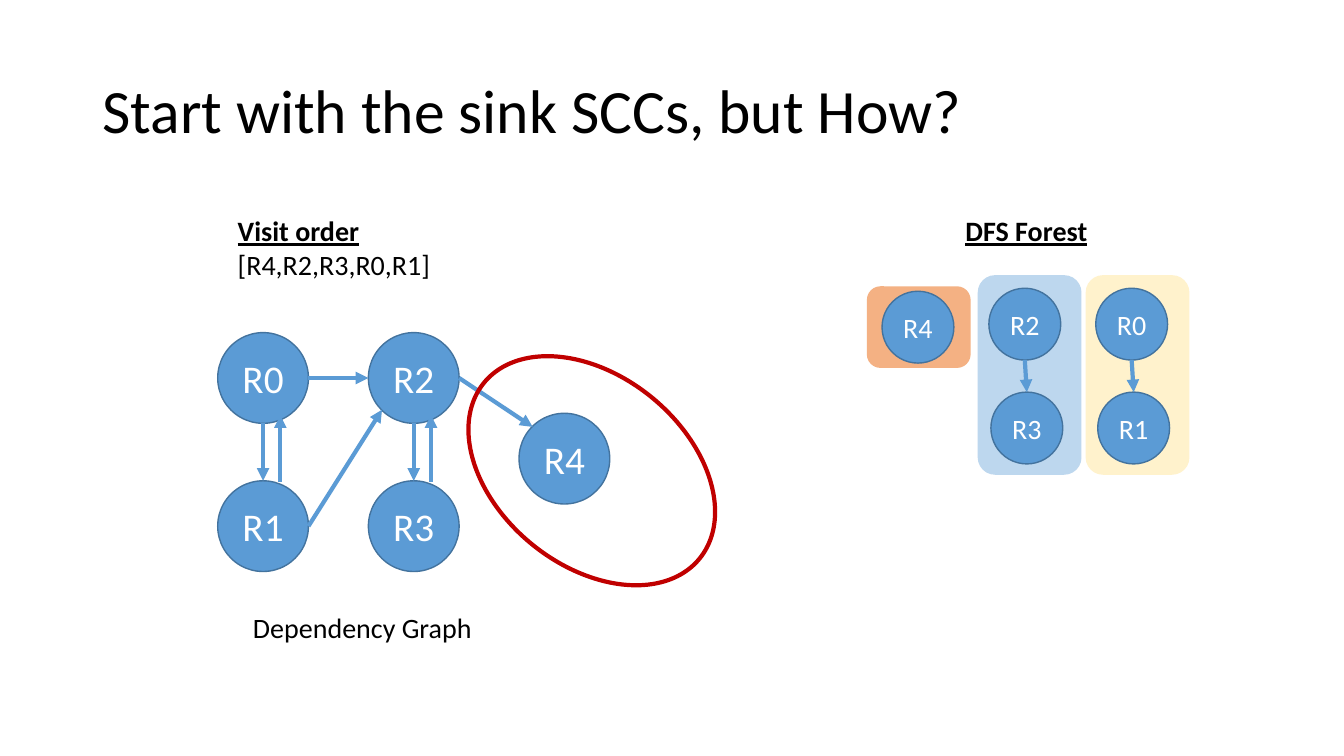
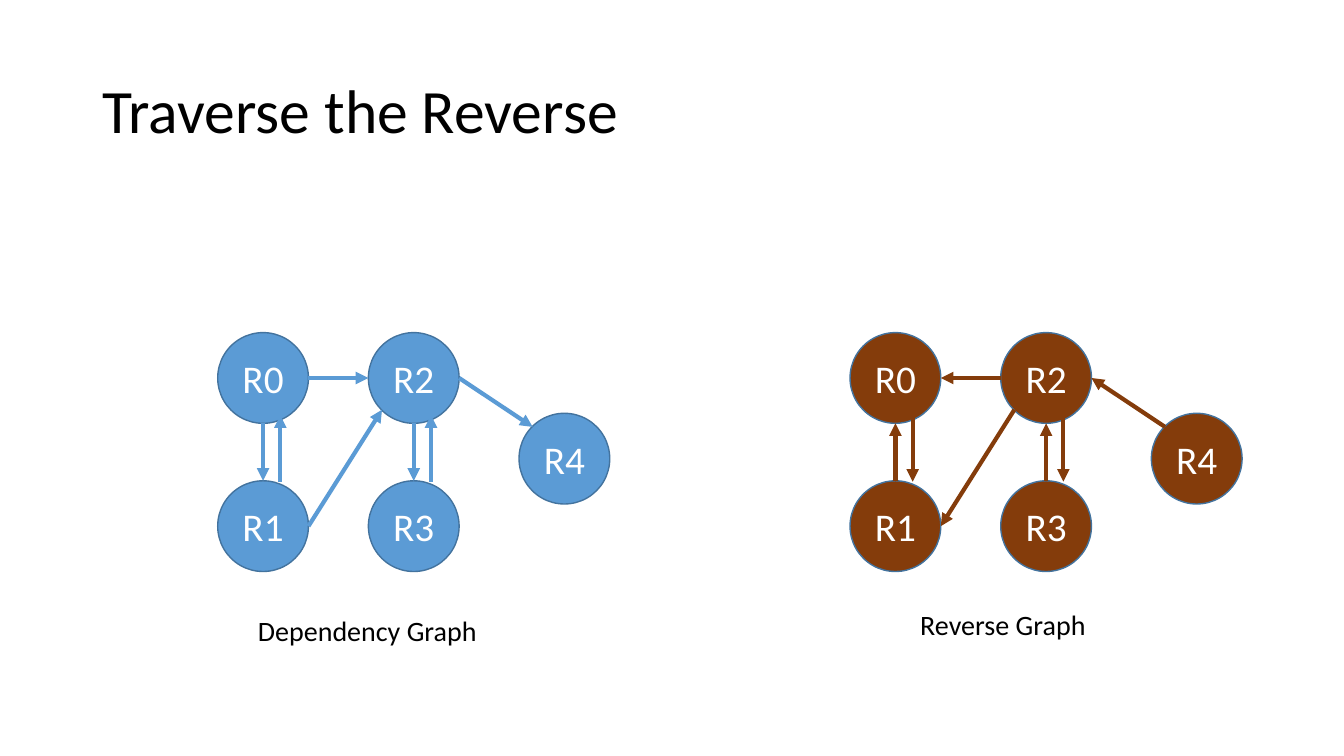
"""Build two slides on visiting dependency graphs and their reverses."""
from pptx import Presentation
from pptx import util as u
from pptx.dml.color import RGBColor
from pptx.enum import shapes, text
from pptx.oxml.ns import qn
from lxml import etree

BLACK = RGBColor(0x00, 0x00, 0x00)
WHITE = RGBColor(0xFF, 0xFF, 0xFF)
BLUE = RGBColor(0x5B, 0x9B, 0xD5)
OUTLINE = RGBColor(0x43, 0x73, 0x9E)
BROWN = RGBColor(0x84, 0x3C, 0x0B)
RED = RGBColor(0xC0, 0x00, 0x00)
ORANGE = RGBColor(0xF4, 0xB1, 0x83)
PALE_BLUE = RGBColor(0xBD, 0xD7, 0xEE)
CREAM = RGBColor(0xFF, 0xF2, 0xCC)
FONT = "Calibri"

deck = Presentation()
deck.slide_width = u.Inches(13.33)
deck.slide_height = u.Inches(7.5)
COLUMN = deck.slide_width / 100
ROW = deck.slide_height / 100

TITLE_AREA = (6.88, 5.33, 86.25, 19.33)
RING_AREA = (33.68, 49.73, 20.7, 25.07)
LABEL_HEIGHT = 5.87
PANEL_WIDTH = 7.72

PORTS = {
    "top": (0.5, 0), "bottom": (0.5, 1), "left": (0, 0.5), "right": (1, 0.5),
    "upper left": (0.15, 0.15), "lower left": (0.15, 0.85),
    "return start": (0.69, 0.01), "return end": (0.69, 0.91),
}
GRAPH_NODES = {"R0": (0, 44), "R1": (0, 63.6), "R2": (1, 44), "R3": (1, 63.6), "R4": (2, 54.67)}
GRAPH_STEP = 11.21
GRAPH_EDGES = [
    ("R0", "bottom", "R1", "top"),
    ("R0", "right", "R2", "left"),
    ("R1", "return start", "R0", "return end"),
    ("R1", "right", "R2", "lower left"),
    ("R2", "bottom", "R3", "top"),
    ("R3", "return start", "R2", "return end"),
    ("R2", "right", "R4", "upper left"),
]
REVERSE_EDGES = [(end, end_port, start, start_port) for start, start_port, end, end_port in GRAPH_EDGES]
FOREST_NODES = {
    "R4": (65.63, 38.53), "R2": (73.58, 38.13), "R3": (73.73, 51.87),
    "R0": (81.53, 38.13), "R1": (81.68, 51.87),
}
FOREST_EDGES = [("R2", "bottom", "R3", "top"), ("R0", "bottom", "R1", "top")]

graph, reverse = [
    {"nodes": {name: (left + step * GRAPH_STEP, top) for name, (step, top) in GRAPH_NODES.items()},
     "edges": edges, "color": color, "diameter": 12, "size": 28, "grouped": True}
    for left, edges, color in [(16.2, GRAPH_EDGES, BLUE), (63.25, REVERSE_EDGES, BROWN)]
]
forest = {"nodes": FOREST_NODES, "edges": FOREST_EDGES, "color": BLUE,
          "diameter": 9.5, "size": 20, "grouped": False}

SLIDES = [
    {
        "title": "Start with the sink SCCs, but How?",
        "labels": [
            (18.08, 80.13, 17.93, ["Dependency Graph"], False),
            (16.95, 27.6, 15.98, ["Visit order", "[R4,R2,R3,R0,R1]"], True),
            (71.1, 27.6, 10.65, ["DFS Forest"], True),
        ],
        "panels": [
            (64.5, 37.87, 10.8, ORANGE),
            (72.75, 36.4, 26.4, PALE_BLUE),
            (80.78, 36.4, 26.4, CREAM),
        ],
        "graphs": [graph, forest],
        "ringed": True,
    },
    {
        "title": "Traverse the Reverse",
        "labels": [
            (18.45, 80.53, 17.93, ["Dependency Graph"], False),
            (67.73, 79.73, 13.95, ["Reverse Graph"], False),
        ],
        "panels": [],
        "graphs": [graph, reverse],
        "ringed": False,
    },
]


def grid(*lengths):
    """Turn alternating column and row counts into slide lengths."""
    return [round(length * (ROW if index % 2 else COLUMN)) for index, length in enumerate(lengths)]


def write(shape, lines, *, size=20, color=BLACK, align=text.PP_ALIGN.LEFT,
          heading=False, spacing=None, wrap=False):
    """Fill a shape with one paragraph per line; a heading is the first line."""
    frame = shape.text_frame
    frame.word_wrap = wrap
    for index, line in enumerate(lines):
        para = frame.add_paragraph() if index else frame.paragraphs[0]
        para.alignment = align
        para.line_spacing = spacing
        span = para.add_run()
        span.text = line
        span.font.name = FONT
        span.font.size = u.Pt(size)
        span.font.color.rgb = color
        span.font.bold = span.font.underline = heading and index == 0


for content in SLIDES:
    page = deck.slides.add_slide(deck.slide_layouts[5])
    title = page.shapes.title
    title.left, title.top, title.width, title.height = grid(*TITLE_AREA)
    title.text_frame.vertical_anchor = text.MSO_ANCHOR.MIDDLE
    title.text_frame.auto_size = text.MSO_AUTO_SIZE.NONE
    write(title, [content["title"]], size=44, spacing=0.9, wrap=True)

    for left, top, width, lines, heading in content["labels"]:
        box = page.shapes.add_textbox(*grid(left, top, width, LABEL_HEIGHT * len(lines)))
        write(box, lines, heading=heading)

    for left, top, height, color in content["panels"]:
        panel = page.shapes.add_shape(
            shapes.MSO_SHAPE.ROUNDED_RECTANGLE, *grid(left, top, PANEL_WIDTH, height))
        panel.shadow.inherit = False
        panel.fill.solid()
        panel.fill.fore_color.rgb = color
        panel.line.fill.background()

    for network in content["graphs"]:
        holder = page.shapes.add_group_shape().shapes if network["grouped"] else page.shapes
        diameter = round(network["diameter"] * ROW)
        nodes = {}
        for name, place in network["nodes"].items():
            node = holder.add_shape(shapes.MSO_SHAPE.OVAL, *grid(*place), diameter, diameter)
            node.shadow.inherit = False
            node.fill.solid()
            node.fill.fore_color.rgb = network["color"]
            node.line.color.rgb = OUTLINE
            node.line.width = u.Pt(1)
            write(node, [name], size=network["size"], color=WHITE, align=text.PP_ALIGN.CENTER)
            nodes[name] = node

        for start, start_port, end, end_port in network["edges"]:
            points = []
            for name, port in [(start, start_port), (end, end_port)]:
                across, down = PORTS[port]
                points += [round(nodes[name].left + across * diameter),
                           round(nodes[name].top + down * diameter)]
            arrow = holder.add_connector(shapes.MSO_CONNECTOR.STRAIGHT, *points)
            arrow.line.color.rgb = network["color"]
            arrow.line.width = u.Pt(3)
            properties = arrow.element.spPr
            etree.SubElement(properties.find(qn("a:ln")), qn("a:tailEnd"), type="triangle")
            etree.SubElement(properties, qn("a:effectLst"))

    if content["ringed"]:
        ring = page.shapes.add_shape(shapes.MSO_SHAPE.OVAL, *grid(*RING_AREA))
        ring.rotation = 39.2
        ring.shadow.inherit = False
        ring.fill.background()
        ring.line.color.rgb = RED
        ring.line.width = u.Pt(3)

deck.save("out.pptx")
